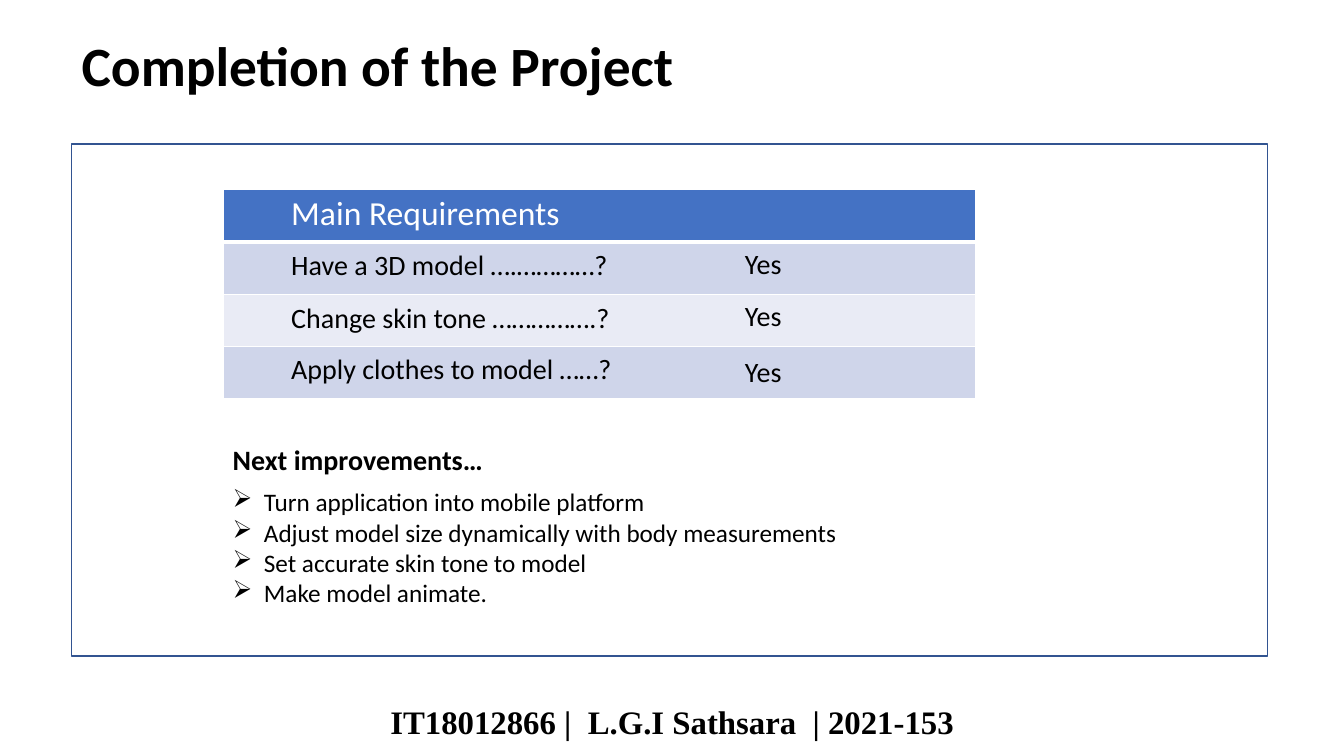
from dataclasses import dataclass

import pptx
import pptx.dml.color
import pptx.enum.shapes
import pptx.enum.text
import pptx.oxml
import pptx.oxml.ns
import pptx.util
from pptx.util import Inches

RGBColor = pptx.dml.color.RGBColor
PP_ALIGN = pptx.enum.text.PP_ALIGN
MSO_ANCHOR = pptx.enum.text.MSO_ANCHOR

BLACK = RGBColor(0x00, 0x00, 0x00)
WHITE = RGBColor(0xFF, 0xFF, 0xFF)
FRAME_BLUE = RGBColor(0x32, 0x54, 0x91)
HEADER_BLUE = RGBColor(0x44, 0x72, 0xC4)
DARK_BAND = RGBColor(0xCF, 0xD5, 0xEA)
LIGHT_BAND = RGBColor(0xE9, 0xEB, 0xF5)

ROW_FILLS = (HEADER_BLUE, DARK_BAND, LIGHT_BAND, DARK_BAND)
ROW_HEIGHT = 0.52
BULLET_INDENT = 0.31


@dataclass
class Label:
    left: float
    top: float
    width: float
    height: float
    lines: tuple[str, ...]
    size: float = 20
    color: RGBColor = BLACK
    bold: bool = False
    font: str = "Calibri"
    bullet: str = ""


@dataclass
class Requirement:
    question: str
    question_top: float
    answer_top: float


TITLE = Label(0.71, 0.38, 11.5, 0.61, ("Completion of the Project",), 39.6, bold=True)
FOOTER = Label(0, 6.96, 13.33, 0.45, ("IT18012866 |  L.G.I Sathsara  | 2021-153",),
               23.4, bold=True, font="Times New Roman")

REQUIREMENTS = (
    Requirement("Have a 3D model ….…………?", 2.41, 2.4),
    Requirement("Change skin tone …………….?", 2.93, 2.91),
    Requirement("Apply clothes to model ……?", 3.44, 3.47),
)

LABELS = (
    Label(2.79, 1.85, 6.41, 0.5, ("Main Requirements",), 24, WHITE),
    *(Label(2.79, req.question_top, 4.49, 0.44, (req.question,)) for req in REQUIREMENTS),
    *(Label(7.29, req.answer_top, 0.89, 0.44, ("Yes",)) for req in REQUIREMENTS),
    Label(2.21, 4.34, 3.33, 0.44, ("Next improvements…",), bold=True),
    Label(2.21, 4.78, 7.46, 1.31, (
        "Turn application into mobile platform",
        "Adjust model size dynamically with body measurements",
        "Set accurate skin tone to model",
        "Make model animate.",
    ), 18, bullet="➢"),
)


def add_bullet(p, char: str) -> None:
    pPr = p._p.get_or_add_pPr()
    pPr.set("marL", str(Inches(BULLET_INDENT)))
    pPr.set("indent", str(-Inches(BULLET_INDENT)))
    pPr.append(pptx.oxml.parse_xml(
        f'<a:buChar {pptx.oxml.ns.nsdecls("a")} char="{char}"/>'))


def write_label(tf, label: Label) -> None:
    tf.word_wrap = True
    tf.auto_size = pptx.enum.text.MSO_AUTO_SIZE.NONE
    font_format = {"name": label.font, "size": pptx.util.Pt(label.size), "bold": label.bold}
    for i, line in enumerate(label.lines):
        p = tf.add_paragraph() if i else tf.paragraphs[0]
        if label.bullet:
            add_bullet(p, label.bullet)
        r = p.add_run()
        r.text = line
        for name, value in font_format.items():
            setattr(r.font, name, value)
        r.font.color.rgb = label.color


def add_label(s, label: Label):
    sp = s.shapes.add_textbox(*map(Inches, (label.left, label.top, label.width, label.height)))
    write_label(sp.text_frame, label)
    return sp


def format_line(tf, align: PP_ALIGN) -> None:
    """Centre a one-line heading vertically and tighten its spacing."""
    tf.vertical_anchor = MSO_ANCHOR.MIDDLE
    for name, value in {"alignment": align, "line_spacing": 0.9}.items():
        setattr(tf.paragraphs[0], name, value)


def add_title(s) -> None:
    sp = s.shapes.title
    for name in ("left", "top", "width", "height"):
        setattr(sp, name, Inches(getattr(TITLE, name)))
    write_label(sp.text_frame, TITLE)
    format_line(sp.text_frame, PP_ALIGN.LEFT)


def add_frame(s) -> None:
    sp = s.shapes.add_shape(pptx.enum.shapes.MSO_SHAPE.RECTANGLE,
                            *map(Inches, (0.71, 1.43, 11.86, 5.08)))
    sp.shadow.inherit = False
    sp.fill.solid()
    sp.fill.fore_color.rgb = WHITE
    sp.line.color.rgb = FRAME_BLUE
    sp.line.width = pptx.util.Pt(1)


def add_border(cell, side: str, points: float) -> None:
    cell._tc.get_or_add_tcPr().append(pptx.oxml.parse_xml(
        f'<a:ln{side} {pptx.oxml.ns.nsdecls("a")} w="{pptx.util.Pt(points)}">'
        f'<a:solidFill><a:srgbClr val="{WHITE}"/></a:solidFill></a:ln{side}>'))


def add_requirements_table(s) -> None:
    rows = len(ROW_FILLS)
    table = s.shapes.add_table(
        rows, 1, *map(Inches, (2.22, 1.88, 7.46, rows * ROW_HEIGHT))).table
    table.first_row = table.horz_banding = False
    for i, color in enumerate(ROW_FILLS):
        table.rows[i].height = Inches(ROW_HEIGHT)
        cell = table.cell(i, 0)
        borders = {"L": 1, "R": 1, "T": 3 if i == 1 else 1, "B": 3 if i == 0 else 1}
        for side, points in borders.items():
            add_border(cell, side, points)
        cell.fill.solid()
        cell.fill.fore_color.rgb = color


def main() -> None:
    prs = pptx.Presentation()
    prs.slide_width, prs.slide_height = Inches(13.33), Inches(7.5)
    s = prs.slides.add_slide(prs.slide_layouts.get_by_name("Title Only"))
    footer = add_label(s, FOOTER)
    format_line(footer.text_frame, PP_ALIGN.CENTER)
    add_title(s)
    add_frame(s)
    add_requirements_table(s)
    for label in LABELS:
        add_label(s, label)
    prs.save("out.pptx")


if __name__ == "__main__":
    main()
